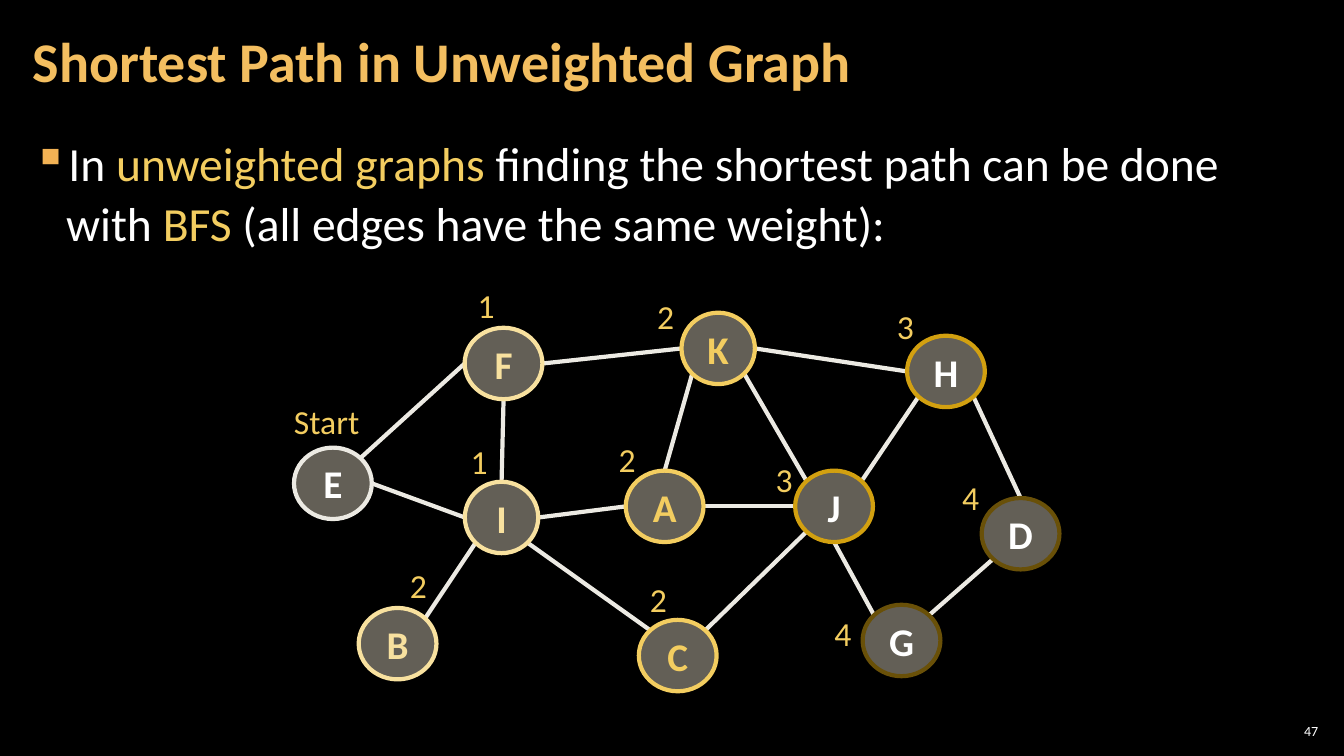
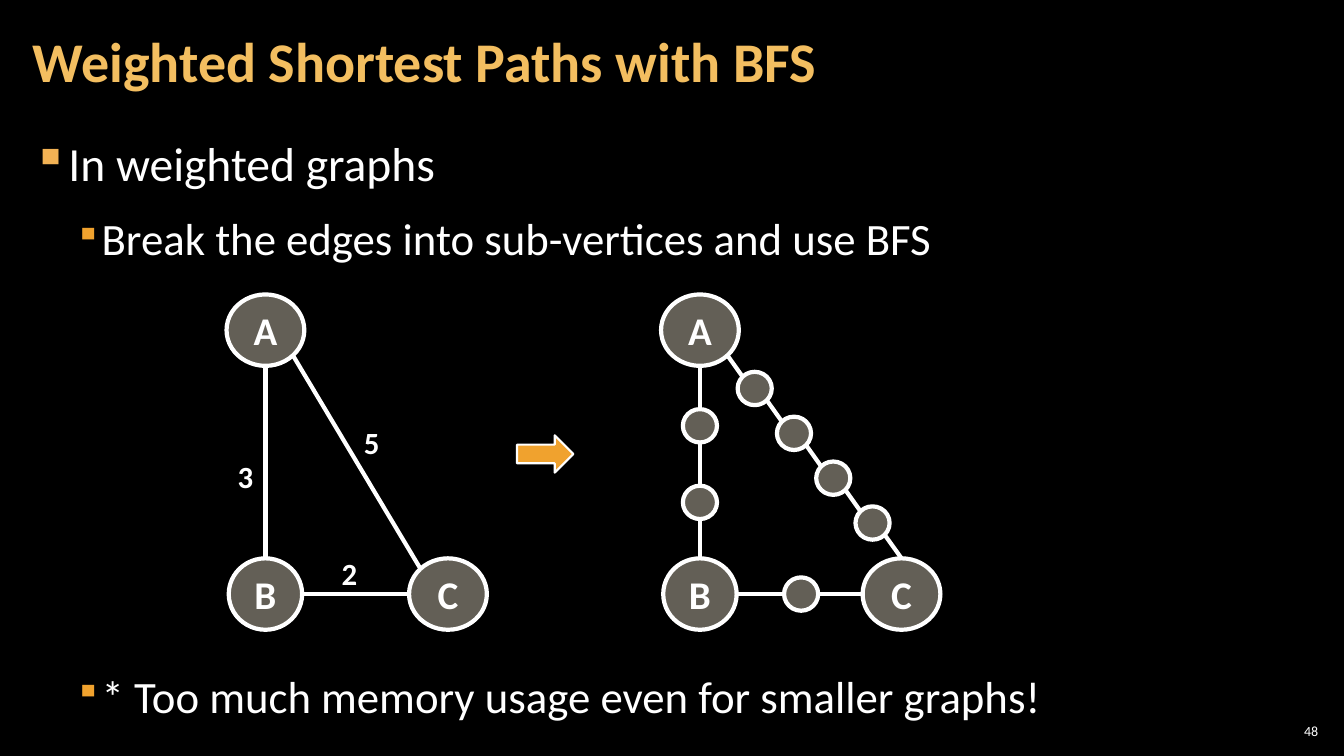
from itertools import pairwise
from math import sqrt
from typing import NamedTuple

from lxml.etree import SubElement
from pptx import Presentation
from pptx.dml.color import RGBColor
from pptx.enum.shapes import MSO_CONNECTOR, MSO_SHAPE
from pptx.enum.text import MSO_ANCHOR, PP_ALIGN
from pptx.oxml.ns import qn
from pptx.util import Cm, Pt

FONT = "Calibri"
BLACK = RGBColor(0x00, 0x00, 0x00)
WHITE = RGBColor(0xFF, 0xFF, 0xFF)
TITLE_GOLD = RGBColor(0xF3, 0xBE, 0x60)
BULLET_GOLD = RGBColor(0xF2, 0xB2, 0x54)
ORANGE = RGBColor(0xF0, 0xA2, 0x2E)
GOLD = RGBColor(0xF3, 0xCD, 0x60)
PALE_GOLD = RGBColor(0xF8, 0xE1, 0x9F)
DARK_GOLD = RGBColor(0xD2, 0xA0, 0x10)
BROWN = RGBColor(0x69, 0x50, 0x08)
IVORY = RGBColor(0xEC, 0xEA, 0xE3)
STONE = RGBColor(0xC7, 0xBF, 0xAC)

BODY_INSETS = (0.3, 0.11)
LABEL_INSETS = (0.25, 0.13)
NODE_INSETS = (0.11, 0.13)
DIAGONAL = sqrt(0.5)
SITES = {
    "N": (0, -1),
    "NE": (DIAGONAL, -DIAGONAL),
    "E": (1, 0),
    "SE": (DIAGONAL, DIAGONAL),
    "S": (0, 1),
    "SW": (-DIAGONAL, DIAGONAL),
    "W": (-1, 0),
    "NW": (-DIAGONAL, -DIAGONAL),
}


class BulletStyle(NamedTuple):
    size: int
    margin: float
    hang: float
    color: RGBColor
    percent: int


class Node(NamedTuple):
    x: float
    y: float
    letter: str = ""
    outline: RGBColor = WHITE
    ink: RGBColor = WHITE
    width: float = 1.96
    height: float = 1.8

    def site(self, name):
        across, down = SITES[name]
        return self.x + across * self.width / 2, self.y + down * self.height / 2


MAIN_POINT = BulletStyle(34, 0.84, 0.84, BULLET_GOLD, 100)
SUB_POINT = BulletStyle(32, 1.7, 0.64, ORANGE, 80)
NARROW = 1.85

BFS_NODES = [
    Node(8.39, 12.18, "E", IVORY),
    Node(12.69, 9.16, "F", PALE_GOLD, PALE_GOLD),
    Node(12.64, 13.04, "I", PALE_GOLD, PALE_GOLD, NARROW),
    Node(10.02, 16.22, "B", PALE_GOLD, PALE_GOLD),
    Node(18.1, 8.78, "K", GOLD, GOLD, NARROW),
    Node(16.75, 12.76, "A", GOLD, GOLD),
    Node(17.08, 16.52, "C", GOLD, GOLD),
    Node(21.02, 12.76, "J", DARK_GOLD),
    Node(23.84, 9.36, "H", DARK_GOLD),
    Node(25.72, 13.45, "D", BROWN),
    Node(22.72, 16.14, "G", BROWN),
]
BFS_EDGES = [
    "E NE F W", "E E I W", "F S I N", "F E K W", "I E A W", "I SW B NE",
    "I SE C NW", "K SW A N", "K SE J NW", "K E H W", "A E J W", "C NE J SW",
    "J NE H SW", "J S G NW", "H SE D N", "D SW G NE",
]
DISTANCES = [
    ("Start", 7.16, 9.98), ("1", 11.79, 7.06), ("1", 11.61, 10.97),
    ("2", 16.31, 7.32), ("2", 10.08, 14.1), ("2", 15.34, 10.92),
    ("2", 16.13, 14.45), ("3", 22.35, 7.57), ("3", 19.3, 11.43),
    ("4", 20.78, 15.32), ("4", 24, 11.89),
]
WEIGHTS = [("3", 5.74, 11.4), ("5", 8.92, 10.54), ("2", 8.36, 13.84)]


def add_bullet(paragraph, style):
    properties = paragraph._p.get_or_add_pPr()
    properties.set("marL", str(Cm(style.margin)))
    properties.set("indent", str(-Cm(style.hang)))
    color = SubElement(properties, qn("a:buClr"))
    SubElement(color, qn("a:srgbClr"), val=str(style.color))
    SubElement(properties, qn("a:buSzPct"), val=str(style.percent * 1000))
    SubElement(properties, qn("a:buChar"), char="▪")


def write(frame, text, *, size, color=WHITE, bold=False, align=PP_ALIGN.LEFT,
          anchor=MSO_ANCHOR.TOP, insets=BODY_INSETS, wrap=True,
          line_spacing=None, bullet=None):
    frame.word_wrap = wrap
    frame.vertical_anchor = anchor
    frame.margin_left = frame.margin_right = Cm(insets[0])
    frame.margin_top = frame.margin_bottom = Cm(insets[1])
    paragraph = frame.paragraphs[0]
    if paragraph.runs:
        paragraph = frame.add_paragraph()
        paragraph.space_before = Pt(6)
    if bullet:
        add_bullet(paragraph, bullet)
        paragraph.space_after = Pt(6)
    paragraph.alignment = align
    if line_spacing:
        paragraph.line_spacing = line_spacing
    pieces = [(text, color)] if isinstance(text, str) else text
    for words, ink in pieces:
        run = paragraph.add_run()
        run.text = words
        run.font.name = FONT
        run.font.size = Pt(size)
        run.font.bold = bold
        run.font.color.rgb = ink


def add_text(slide, left, top, width, height, text, **style):
    box = slide.shapes.add_textbox(Cm(left), Cm(top), Cm(width), Cm(height))
    write(box.text_frame, text, **style)
    return box.text_frame


def add_points(slide, top, height, points):
    box = slide.shapes.add_textbox(Cm(0.53), Cm(top), Cm(32.79), Cm(height))
    for text, style in points:
        write(box.text_frame, text, size=style.size, bullet=style, line_spacing=1.05)


def add_labels(slide, labels, **style):
    for text, left, top in labels:
        width = 0.94 if len(text) == 1 else 2.18
        add_text(slide, left, top, width, 1.27, text,
                 insets=LABEL_INSETS, wrap=False, **style)


def add_filled(slide, kind, left, top, width, height, fill, outline, weight):
    shape = slide.shapes.add_shape(kind, Cm(left), Cm(top), Cm(width), Cm(height))
    shape.shadow.inherit = False
    shape.fill.solid()
    shape.fill.fore_color.rgb = fill
    shape.line.color.rgb = outline
    shape.line.width = Pt(weight)
    return shape


def add_node(slide, node):
    circle = add_filled(slide, MSO_SHAPE.OVAL, node.x - node.width / 2,
                        node.y - node.height / 2, node.width, node.height,
                        STONE, node.outline, 3)
    tint = circle._element.spPr.find(qn("a:solidFill")).find(qn("a:srgbClr"))
    SubElement(tint, qn("a:alpha"), val="50000")
    if node.letter:
        write(circle.text_frame, node.letter, size=28, color=node.ink, bold=True,
              align=PP_ALIGN.CENTER, anchor=MSO_ANCHOR.MIDDLE, insets=NODE_INSETS)


def add_edge(slide, start, end, color):
    ends = [Cm(length) for length in (*start, *end)]
    edge = slide.shapes.add_connector(MSO_CONNECTOR.STRAIGHT, *ends)
    edge.line.color.rgb = color
    edge.line.width = Pt(3)
    SubElement(edge._element.spPr, qn("a:effectLst"))


def add_graph(slide, nodes, edges, color):
    by_letter = {node.letter: node for node in nodes}
    for edge in edges:
        first, leave, second, arrive = edge.split()
        add_edge(slide, by_letter[first].site(leave),
                 by_letter[second].site(arrive), color)
    for node in nodes:
        add_node(slide, node)


def add_chain(slide, nodes, leave, arrive, last_arrive):
    links = list(pairwise(nodes))
    for index, (first, second) in enumerate(links, 1):
        site = last_arrive if index == len(links) else arrive
        add_edge(slide, first.site(leave), second.site(site), WHITE)
    for dot in nodes[1:-1]:
        add_node(slide, dot)


def triangle(left, right):
    return [
        Node(left, 8.32, "A"),
        Node(left, 14.97, "B", width=NARROW),
        Node(right, 14.97, "C"),
    ]


def sub_vertices(count, x, y, step_x=0, step_y=0):
    return [Node(x + i * step_x, y + i * step_y, width=0.86, height=0.84)
            for i in range(count)]


def add_slide(deck, title, number):
    slide = deck.slides.add_slide(deck.slide_layouts[6])
    slide.background.fill.solid()
    slide.background.fill.fore_color.rgb = BLACK
    add_text(slide, 0.53, 0.1, 26.59, 3.07, title, size=40, color=TITLE_GOLD,
             bold=True, anchor=MSO_ANCHOR.MIDDLE, line_spacing=0.9)
    add_text(slide, 32.13, 18.14, 1.19, 0.56, str(number), size=10,
             align=PP_ALIGN.RIGHT, anchor=MSO_ANCHOR.MIDDLE, insets=(0.1, 0.1))
    return slide


def add_unweighted_slide(deck):
    slide = add_slide(deck, "Shortest Path in Unweighted Graph", 47)
    sentence = [
        ("In ", WHITE),
        ("unweighted graphs", GOLD),
        (" finding the shortest path can be done with ", WHITE),
        ("BFS ", GOLD),
        ("(all edges have the same weight):", WHITE),
    ]
    add_points(slide, 3.2, 3.6, [(sentence, MAIN_POINT)])
    add_graph(slide, BFS_NODES, BFS_EDGES, IVORY)
    add_labels(slide, DISTANCES, size=24, color=GOLD)


def add_weighted_slide(deck):
    slide = add_slide(deck, "Weighted Shortest Paths with BFS", 48)
    add_points(slide, 3.2, 3.8, [
        ("In weighted graphs", MAIN_POINT),
        ("Break the edges into sub-vertices and use BFS", SUB_POINT),
    ])
    add_points(slide, 16.67, 1.99, [
        ("* Too much memory usage even for smaller graphs!", SUB_POINT),
    ])
    add_graph(slide, triangle(6.69, 11.29), ["A S B N", "A SE C NW", "B E C W"], WHITE)
    add_labels(slide, WEIGHTS, size=22, bold=True)
    add_filled(slide, MSO_SHAPE.RIGHT_ARROW, 13.03, 10.97, 1.42, 0.94,
               ORANGE, WHITE, 1.5)
    corners = triangle(17.64, 22.72)
    a, b, c = corners
    add_graph(slide, corners, [], WHITE)
    add_chain(slide, [a, *sub_vertices(2, a.x, 10.73, step_y=1.93), b], "S", "N", "N")
    add_chain(slide, [a, *sub_vertices(4, 19.02, 9.79, 0.99, 1.13), c], "SE", "NW", "N")
    add_chain(slide, [b, *sub_vertices(1, 20.19, b.y), c], "E", "W", "W")


def main():
    deck = Presentation()
    deck.slide_width = Cm(33.87)
    deck.slide_height = Cm(19.05)
    add_unweighted_slide(deck)
    add_weighted_slide(deck)
    deck.save("out.pptx")


if __name__ == "__main__":
    main()
